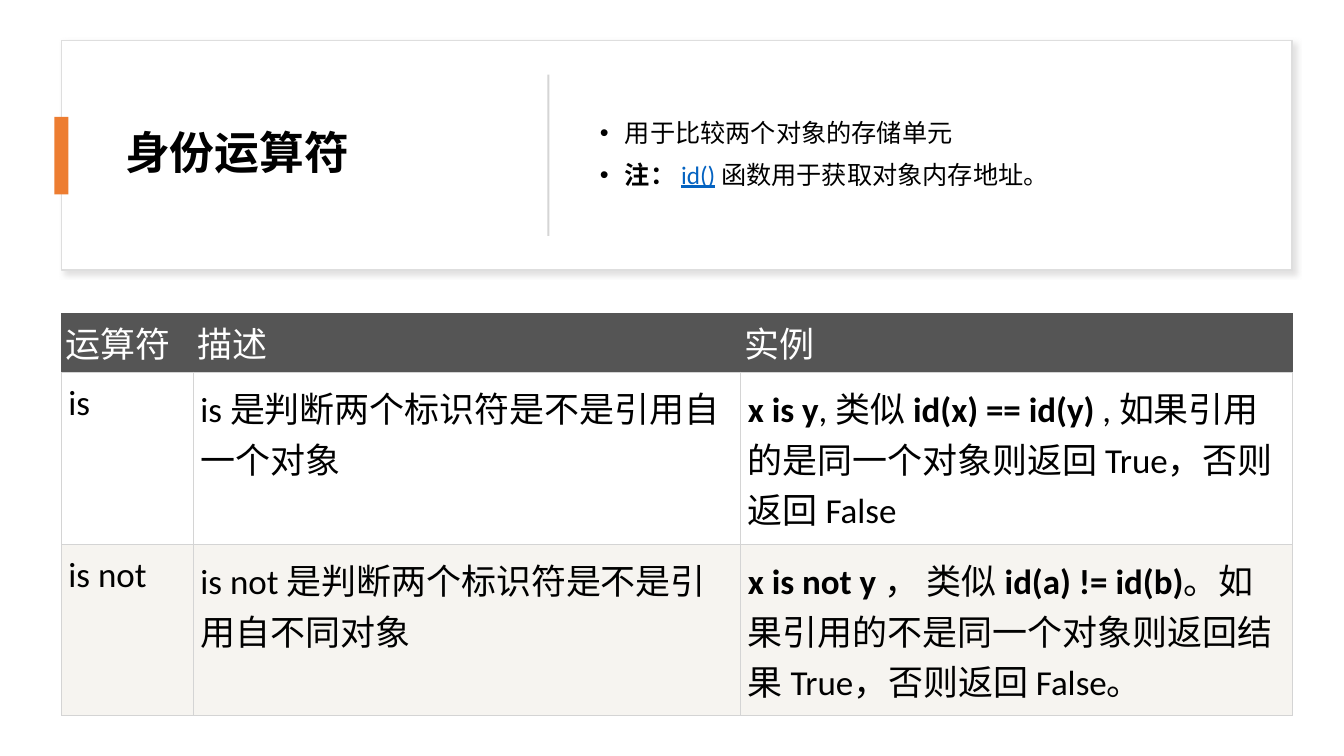
from dataclasses import dataclass

from lxml import etree
from pptx import Presentation
from pptx import util as u
from pptx.dml import color as dml
from pptx.enum import shapes, text
from pptx.oxml import ns

FONT = "Calibri"
BLACK, WHITE, ORANGE, LINK = "000000", "FFFFFF", "ED7D31", "0563C1"
HEADER, BAND, GRID = "555555", "F6F4F0", "D4D4D4"


@dataclass(frozen=True)
class Run:
    words: str
    bold: bool = False
    color: str = BLACK
    underline: bool = False


@dataclass(frozen=True)
class Box:
    left: float
    top: float
    width: float
    height: float
    fill: str = WHITE
    line: str = ""


@dataclass(frozen=True)
class Row:
    height: float
    fill: str
    edge: str
    inset_x: float
    inset_y: float
    cells: tuple[tuple[Run, ...], ...]


CARD = Box(43.9, 28.8, 879.1, 164.2, WHITE, "DEDEDE")
ACCENT = Box(38.9, 83.5, 10.1, 55.4, ORANGE)
DIVIDER = Box(391, 53.3, 1.4, 115.2, "D5D5D5")
HEADING = Box(82.1, 46.1, 280.1, 129.6)
NOTES = Box(421.2, 46.1, 472.3, 129.6)
OPERATORS = Box(43.9, 223.9, 879.1, 257.8)
COLUMNS = (94.3, 391, 393.8)

BULLETS = (
    (Run("用于比较两个对象的存储单元"),),
    (Run("注： ", bold=True), Run("id()", color=LINK, underline=True),
     Run(" 函数用于获取对象内存地址。")),
)

ROWS = (
    Row(40.3, HEADER, HEADER, 2.9, 2.9,
        tuple((Run(name, color=WHITE),) for name in ("运算符", "描述", "实例"))),
    Row(108.7, WHITE, GRID, 5, 7.2, (
        (Run("is"),),
        (Run("is 是判断两个标识符是不是引用自一个对象"),),
        (Run("x is y", bold=True), Run(", 类似 "),
         Run("id(x) == id(y)", bold=True),
         Run(" , 如果引用的是同一个对象则返回 True，否则返回 False")),
    )),
    Row(108.7, BAND, GRID, 5, 7.2, (
        (Run("is not"),),
        (Run("is not 是判断两个标识符是不是引用自不同对象"),),
        (Run("x is not y", bold=True), Run(" ， 类似 "),
         Run("id(a) != id(b)", bold=True),
         Run("。如果引用的不是同一个对象则返回结果 True，否则返回 False。")),
    )),
)


def paint(target, color: str) -> None:
    if hasattr(target, "solid"):
        target.solid()
        target = target.fore_color
    target.rgb = dml.RGBColor.from_string(color)


def write(paragraph, runs: tuple[Run, ...], size: float) -> None:
    for part in runs:
        run = paragraph.add_run()
        run.text = part.words
        run.font.name = FONT
        run.font.size = u.Pt(size)
        run.font.bold = part.bold
        run.font.underline = part.underline
        paint(run.font.color, part.color)


def draw_box(slide, box: Box):
    shape = slide.shapes.add_shape(
        shapes.MSO_SHAPE.RECTANGLE,
        u.Pt(box.left), u.Pt(box.top), u.Pt(box.width), u.Pt(box.height))
    shape.shadow.inherit = False
    paint(shape.fill, box.fill)
    if box.line:
        paint(shape.line.color, box.line)
        shape.line.width = u.Pt(1)
    else:
        shape.line.fill.background()
    return shape


def send_to_back(slide, shape) -> None:
    tree = slide.shapes._spTree
    tree.remove(shape._element)
    tree.insert(2, shape._element)


def cast_shadow(shape) -> None:
    effects = shape._element.spPr.find(ns.qn("a:effectLst"))
    shadow = etree.SubElement(
        effects, ns.qn("a:outerShdw"), blurRad=str(u.Pt(4)), dist=str(u.Pt(3)),
        dir="2700000", algn="tl", rotWithShape="0")
    tint = etree.SubElement(shadow, ns.qn("a:srgbClr"), val="C5C3C3")
    etree.SubElement(tint, ns.qn("a:alpha"), val="50000")


def place(placeholder, box: Box):
    placeholder.left, placeholder.top = u.Pt(box.left), u.Pt(box.top)
    placeholder.width, placeholder.height = u.Pt(box.width), u.Pt(box.height)
    frame = placeholder.text_frame
    frame.word_wrap = True
    frame.auto_size = text.MSO_AUTO_SIZE.NONE
    frame.vertical_anchor = text.MSO_ANCHOR.MIDDLE
    return frame


def fill_heading(slide) -> None:
    paragraph = place(slide.shapes.title, HEADING).paragraphs[0]
    paragraph.alignment = text.PP_ALIGN.LEFT
    paragraph.line_spacing = 0.9
    write(paragraph, (Run("身份运算符", bold=True),), 32)


def fill_notes(slide) -> None:
    frame = place(slide.placeholders[1], NOTES)
    for index, runs in enumerate(BULLETS):
        paragraph = frame.add_paragraph() if index else frame.paragraphs[0]
        properties = paragraph._p.get_or_add_pPr()
        properties.set("marL", str(u.Pt(18)))
        properties.set("indent", str(u.Pt(-18)))
        etree.SubElement(properties, ns.qn("a:buFont"), typeface="Arial")
        etree.SubElement(properties, ns.qn("a:buChar"), char="•")
        paragraph.line_spacing = 0.9
        paragraph.space_before = u.Pt(10 if index else 0)
        write(paragraph, runs, 18)


def border(cell, edge: str, bottom: str) -> None:
    properties = cell._tc.get_or_add_tcPr()
    sides = (("L", edge), ("R", edge), ("T", edge), ("B", bottom))
    for index, (side, color) in enumerate(sides):
        line = etree.Element(ns.qn(f"a:ln{side}"), w=str(u.Pt(0.75)))
        solid = etree.SubElement(line, ns.qn("a:solidFill"))
        etree.SubElement(solid, ns.qn("a:srgbClr"), val=color)
        properties.insert(index, line)


def draw_operators(slide) -> None:
    table = slide.shapes.add_table(
        len(ROWS), len(COLUMNS), u.Pt(OPERATORS.left), u.Pt(OPERATORS.top),
        u.Pt(OPERATORS.width), u.Pt(OPERATORS.height)).table
    table.horz_banding = False
    for column, width in zip(table.columns, COLUMNS):
        column.width = u.Pt(width)
    for table_row, row in zip(table.rows, ROWS):
        table_row.height = u.Pt(row.height)
        for cell, runs in zip(table_row.cells, row.cells):
            cell.margin_left = cell.margin_right = u.Pt(row.inset_x)
            cell.margin_top = cell.margin_bottom = u.Pt(row.inset_y)
            paint(cell.fill, row.fill)
            border(cell, row.edge, GRID)
            write(cell.text_frame.paragraphs[0], runs, 25)


def main() -> None:
    deck = Presentation()
    deck.slide_width, deck.slide_height = u.Pt(960), u.Pt(540)
    slide = deck.slides.add_slide(deck.slide_layouts[1])
    card = draw_box(slide, CARD)
    cast_shadow(card)
    send_to_back(slide, card)
    fill_heading(slide)
    draw_box(slide, ACCENT)
    draw_box(slide, DIVIDER)
    fill_notes(slide)
    draw_operators(slide)
    deck.save("out.pptx")


if __name__ == "__main__":
    main()
